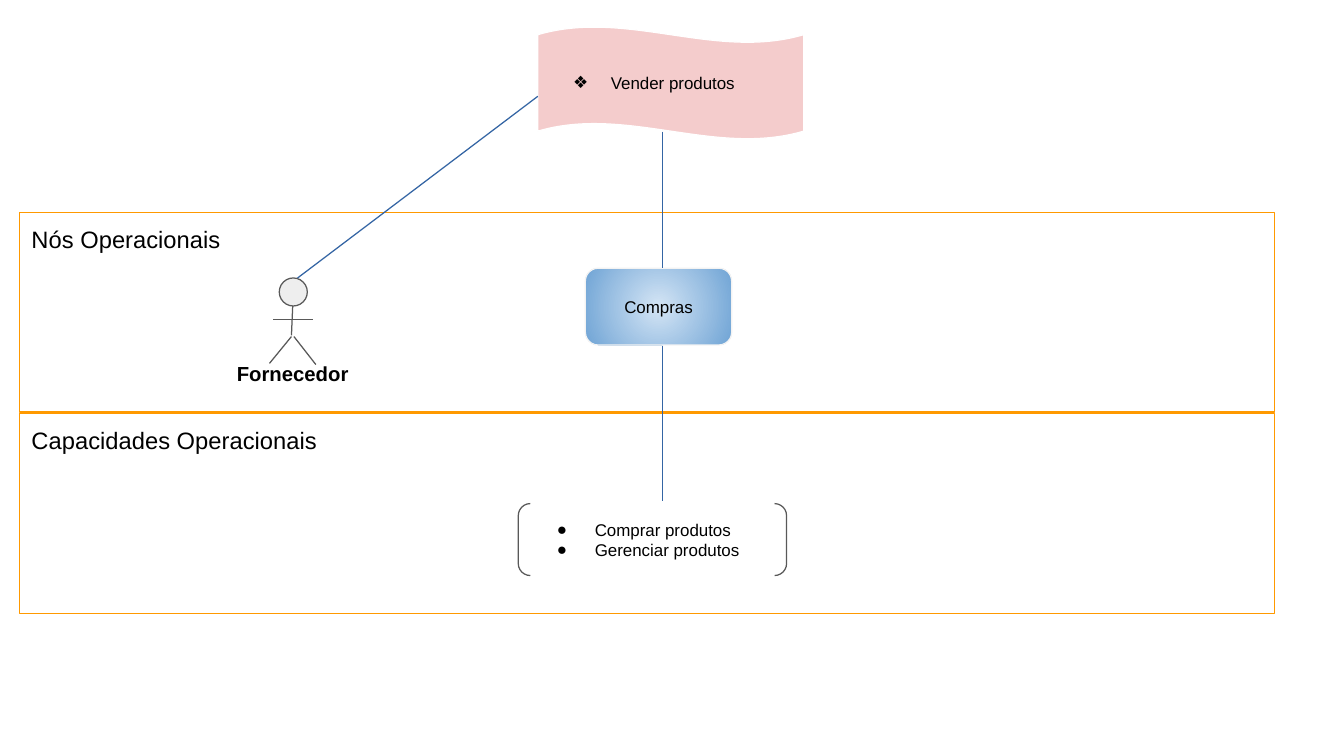
from lxml import etree
from pptx import Presentation
from pptx.dml.color import RGBColor
from pptx.enum.shapes import MSO_CONNECTOR, MSO_SHAPE
from pptx.enum.text import MSO_ANCHOR, PP_ALIGN
from pptx.oxml import parse_xml
from pptx.oxml.ns import nsdecls, qn
from pptx.util import Inches, Pt

BLACK = RGBColor(0x00, 0x00, 0x00)
WHITE = RGBColor(0xFF, 0xFF, 0xFF)
ORANGE = RGBColor(0xFF, 0x99, 0x00)
PINK = RGBColor(0xF4, 0xCC, 0xCC)
HEAD_GREY = RGBColor(0xEE, 0xEE, 0xEE)
PALE_GREY = RGBColor(0xF3, 0xF3, 0xF3)
DARK_GREY = RGBColor(0x59, 0x59, 0x59)
LINK_BLUE = RGBColor(0x34, 0x65, 0xA4)
LIGHT_BLUE = RGBColor(0xD4, 0xE5, 0xF5)
MID_BLUE = RGBColor(0x70, 0xA4, 0xD5)
LINE_WIDTH = Pt(0.75)

prs = Presentation()
prs.slide_width = Inches(11.02)
prs.slide_height = Inches(6.2)
slide = prs.slides.add_slide(prs.slide_layouts[6])


def add_box(kind, box, line, fill=None, adjust=None):
    shape = slide.shapes.add_shape(kind, *map(Inches, box))
    shape.shadow.inherit = False
    shape.line.color.rgb = line
    shape.line.width = LINE_WIDTH
    if fill is None:
        shape.fill.background()
    else:
        shape.fill.solid()
        shape.fill.fore_color.rgb = fill
    if adjust is not None:
        shape.adjustments[0] = adjust
    return shape


def write(shape, lines, size, anchor=MSO_ANCHOR.TOP, align=PP_ALIGN.LEFT, bold=False, bullet=None):
    frame = shape.text_frame
    frame.word_wrap = True
    frame.vertical_anchor = anchor
    frame.margin_left = frame.margin_right = Inches(0.1)
    frame.margin_top = frame.margin_bottom = Inches(0.1)
    frame.text = "\n".join(lines)
    for paragraph in frame.paragraphs:
        paragraph.alignment = align
        font = paragraph.runs[0].font
        font.name, font.size, font.bold = "Arial", Pt(size), bold
        font.color.rgb = BLACK
        if bullet:
            properties = paragraph._p.get_or_add_pPr()
            properties.set("marL", str(Inches(0.5)))
            properties.set("indent", str(Inches(-0.31)))
            color = etree.SubElement(properties, qn("a:buClr"))
            etree.SubElement(color, qn("a:srgbClr")).set("val", str(BLACK))
            etree.SubElement(properties, qn("a:buFont")).set("typeface", "Arial")
            etree.SubElement(properties, qn("a:buChar")).set("char", bullet)


for top, heading in [(1.74, "Nós Operacionais"), (3.39, "Capacidades Operacionais")]:
    band = add_box(MSO_SHAPE.RECTANGLE, (0.16, top, 10.29, 1.64), ORANGE)
    write(band, [heading], 14)

goal = add_box(MSO_SHAPE.WAVE, (4.41, 0.22, 2.18, 0.92), WHITE, PINK, 0.07)
write(goal, ["Vender produtos"], 10, MSO_ANCHOR.MIDDLE, bullet="❖")

add_box(MSO_SHAPE.FLOWCHART_CONNECTOR, (2.29, 2.28, 0.23, 0.23), DARK_GREY, HEAD_GREY)
supplier = slide.shapes.add_textbox(Inches(1.79), Inches(2.86), Inches(1.22), Inches(0.41))
write(supplier, ["Fornecedor"], 12, align=PP_ALIGN.CENTER, bold=True)

node = add_box(MSO_SHAPE.ROUNDED_RECTANGLE, (4.8, 2.2, 1.2, 0.63), PALE_GREY, adjust=0.167)
node.fill.gradient()
for stop, color in zip(node.fill.gradient_stops, (LIGHT_BLUE, MID_BLUE)):
    stop.color.rgb = color
gradient = node._element.spPr.find(qn("a:gradFill"))
gradient.replace(gradient.find(qn("a:lin")), parse_xml(
    f'<a:path {nsdecls("a")} path="circle">'
    '<a:fillToRect l="50000" t="50000" r="50000" b="50000"/></a:path>'))
write(node, ["Compras"], 10, MSO_ANCHOR.MIDDLE, PP_ALIGN.CENTER)

capabilities = add_box(MSO_SHAPE.DOUBLE_BRACKET, (4.25, 4.13, 2.2, 0.59), DARK_GREY, adjust=0.167)
write(capabilities, ["Comprar produtos", "Gerenciar produtos"], 10, MSO_ANCHOR.MIDDLE, bullet="●")

supplier_limbs = [
    (2.4, 2.51, 2.39, 2.75),
    (2.24, 2.62, 2.57, 2.62),
    (2.39, 2.76, 2.21, 2.98),
    (2.41, 2.76, 2.59, 2.99),
]
links = [
    (2.44, 2.28, 4.41, 0.79),
    (5.43, 1.08, 5.43, 2.2),
    (5.43, 2.84, 5.43, 4.11),
]
for color, segments in [(DARK_GREY, supplier_limbs), (LINK_BLUE, links)]:
    for segment in segments:
        connector = slide.shapes.add_connector(MSO_CONNECTOR.STRAIGHT, *map(Inches, segment))
        connector.line.color.rgb = color
        connector.line.width = LINE_WIDTH
        etree.SubElement(connector._element.spPr, qn("a:effectLst"))

prs.save("out.pptx")
